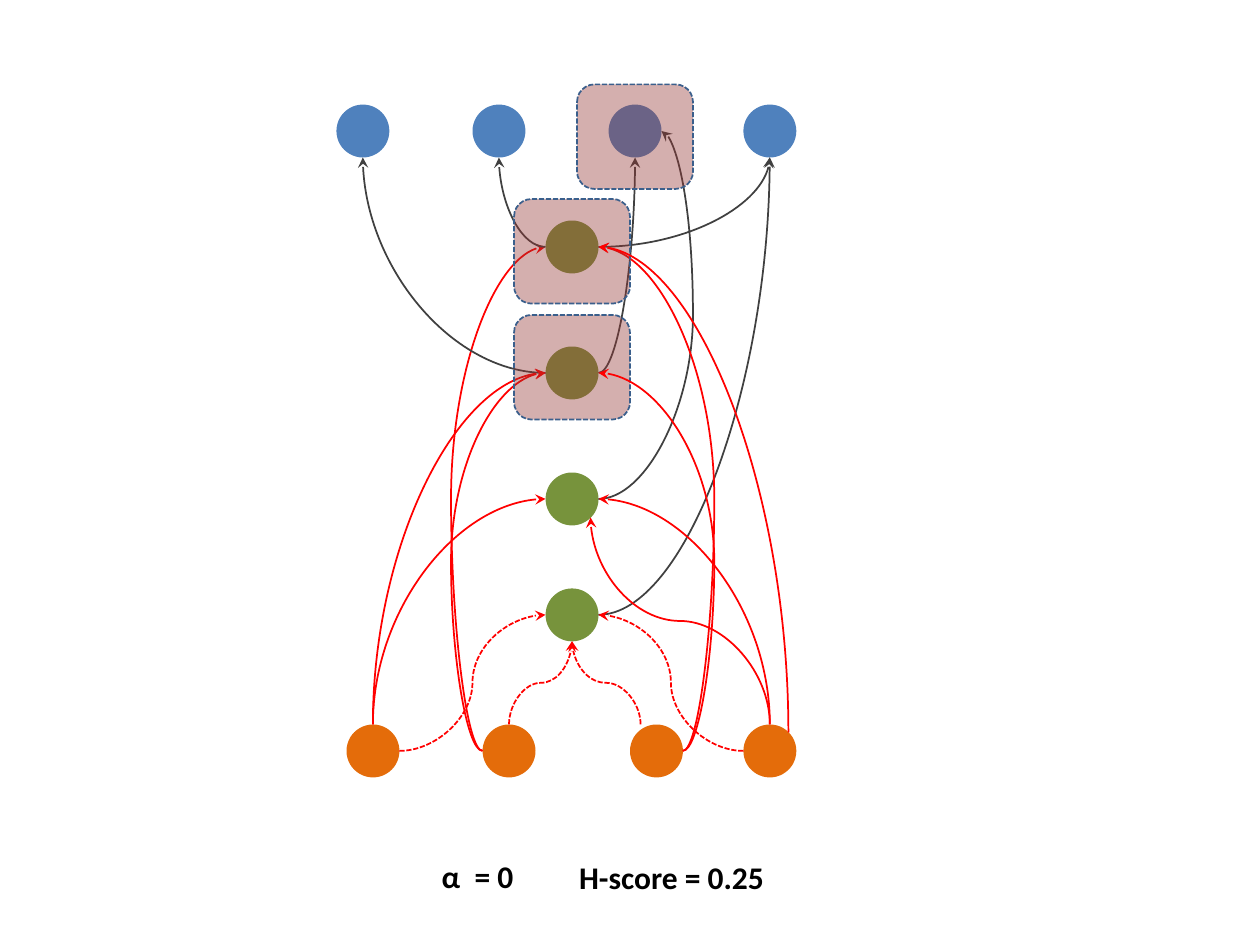
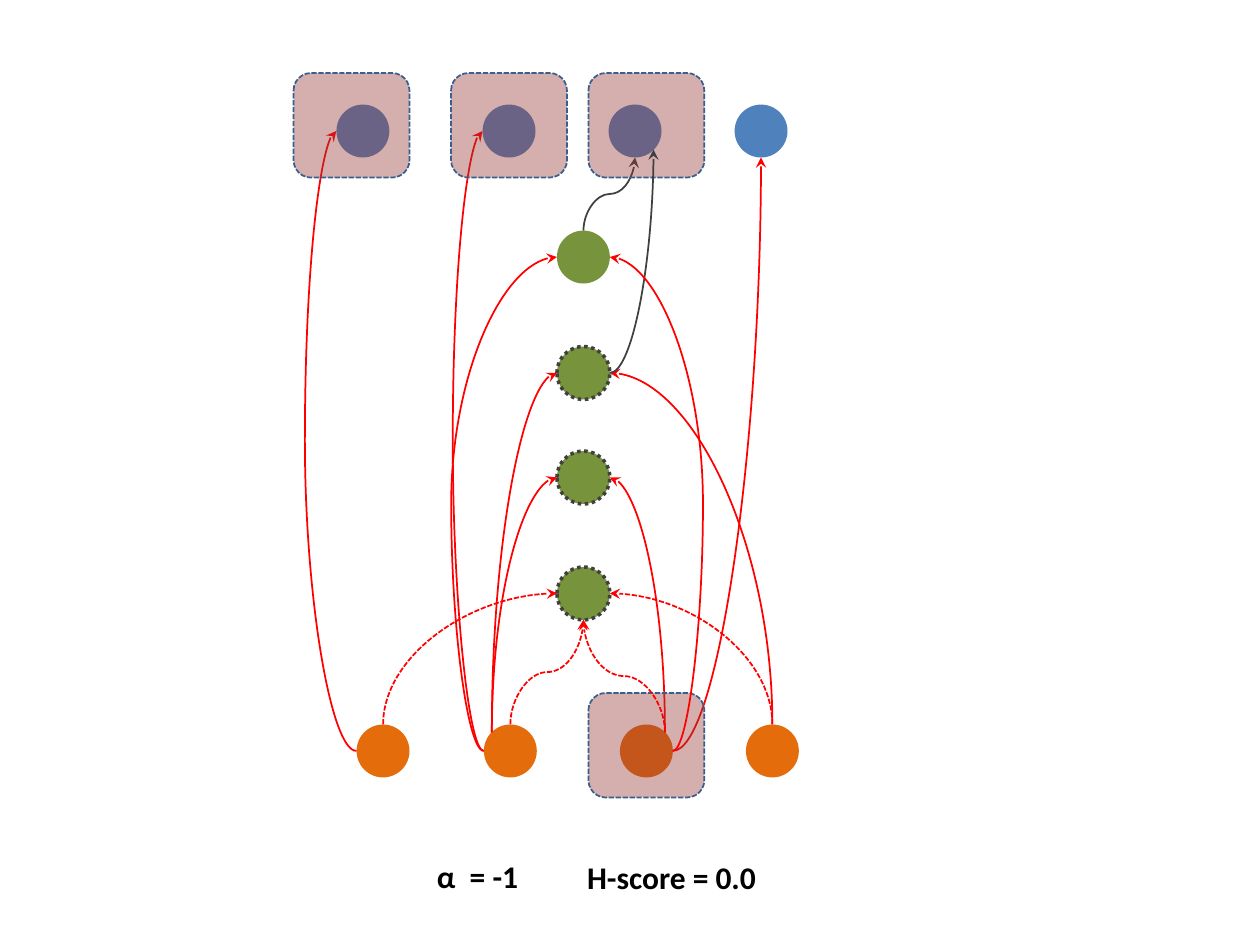
from lxml import etree
from pptx import Presentation
from pptx.dml.color import RGBColor
from pptx.enum.dml import MSO_LINE
from pptx.enum.shapes import MSO_CONNECTOR, MSO_SHAPE
from pptx.enum.text import MSO_AUTO_SIZE, PP_ALIGN
from pptx.oxml.ns import qn
from pptx.util import Inches, Pt

COLORS = {
    "output": "4F81BD",
    "hidden": "77933C",
    "input": "E46C0A",
    "red": "FF0000",
    "gray": "404040",
    "region": "953735",
    "region_line": "3A5F8C",
    "text": "000000",
}
FONT = "Calibri"
NODE_SIZE = 0.42
TOP_Y, LOW_Y = 0.83, 5.75
PORTS = {
    "N": (0.5, 0), "S": (0.5, 1), "W": (0, 0.5), "E": (1, 0.5),
    "NW": (0.15, 0.15), "NE": (0.85, 0.15), "SE": (0.85, 0.85), "NNW": (0.2, 0),
}


def rgb(name):
    return RGBColor.from_string(COLORS[name])


def port_point(sp, port):
    fx, fy = PORTS[port]
    return int(sp.left + fx * sp.width), int(sp.top + fy * sp.height)


class NetworkDeck:
    def __init__(self):
        self.prs = Presentation()
        self.prs.slide_width, self.prs.slide_height = Inches(10), Inches(7.5)
        self.s = None

    def new_slide(self):
        self.s = self.prs.slides.add_slide(self.prs.slide_layouts[6])

    def stroke(self, line, color, width=1, dash=None):
        line.color.rgb = rgb(color)
        line.width = Pt(width)
        if dash:
            line.dash_style = dash

    def shape(self, kind, x, y, w, h, fill):
        sp = self.s.shapes.add_shape(kind, Inches(x), Inches(y), Inches(w), Inches(h))
        sp.shadow.inherit = False
        sp.fill.solid()
        sp.fill.fore_color.rgb = rgb(fill)
        return sp

    def node(self, x, y, fill, dotted=False):
        sp = self.shape(MSO_SHAPE.OVAL, x, y, NODE_SIZE, NODE_SIZE, fill)
        if dotted:
            self.stroke(sp.line, "gray", 2, MSO_LINE.ROUND_DOT)
        else:
            sp.line.fill.background()
        return sp

    def row(self, xs, y, fill):
        return [self.node(x, y, fill) for x in xs]

    def region(self, x, y):
        sp = self.shape(MSO_SHAPE.ROUNDED_RECTANGLE, x, y, 0.92, 0.83, "region")
        color = sp.fill._xPr.find(qn("a:solidFill"))[0]
        etree.SubElement(color, qn("a:alpha"), val="40000")
        self.stroke(sp.line, "region_line", dash=MSO_LINE.SQUARE_DOT)

    def edge(self, start, start_port, end, end_port, color="red", dashed=False, bend_x=None):
        x1, y1 = port_point(start, start_port)
        x2, y2 = port_point(end, end_port)
        c = self.s.shapes.add_connector(MSO_CONNECTOR.CURVE, x1, y1, x2, y2)
        sp_pr = c._element.spPr
        leaves_up = start_port[0] == "N"
        if leaves_up:
            self.turn_upright(c, x1, y1, x2, y2)
        geom = sp_pr.find(qn("a:prstGeom"))
        if leaves_up != (end_port[0] in "NS"):
            geom.set("prst", "curvedConnector2")
        elif bend_x is not None:
            ratio = (Inches(bend_x) - x1) / (x2 - x1)
            guides = geom.find(qn("a:avLst"))
            etree.SubElement(guides, qn("a:gd"), name="adj1", fmla=f"val {round(ratio * 100000)}")
        self.stroke(c.line, color, dash=MSO_LINE.SQUARE_DOT if dashed else None)
        etree.SubElement(sp_pr.find(qn("a:ln")), qn("a:tailEnd"), type="stealth")
        etree.SubElement(sp_pr, qn("a:effectLst"))

    def turn_upright(self, c, x1, y1, x2, y2):
        w, h = abs(y2 - y1), abs(x2 - x1)
        c.left, c.top = (x1 + x2 - w) // 2, (y1 + y2 - h) // 2
        c.width, c.height = w, h
        xfrm = c._element.spPr.find(qn("a:xfrm"))
        to_right = x2 > x1
        xfrm.set("rot", str((90 if to_right else 270) * 60000))
        xfrm.set("flipH", "1" if to_right else "0")
        xfrm.set("flipV", "1")

    def label(self, x, y, w, text):
        tb = self.s.shapes.add_textbox(Inches(x), Inches(y), Inches(w), Inches(0.4))
        tf = tb.text_frame
        tf.word_wrap = True
        tf.auto_size = MSO_AUTO_SIZE.SHAPE_TO_FIT_TEXT
        p = tf.paragraphs[0]
        p.alignment = PP_ALIGN.CENTER
        r = p.add_run()
        r.text = text
        r.font.name, r.font.size, r.font.bold = FONT, Pt(18), True
        r.font.color.rgb = rgb("text")

    def scores(self, alpha, h_score):
        self.label(3.25, 6.75, 1.08, f"α  = {alpha}")
        self.label(4.33, 6.76, 2, f"H-score = {h_score}")


def alpha_zero(deck):
    deck.new_slide()
    top = deck.row((2.67, 3.75, 4.83, 5.9), TOP_Y, "output")
    low = deck.row((2.75, 3.83, 5, 5.9), LOW_Y, "input")
    mid = [deck.node(4.33, y, "hidden") for y in (1.75, 2.75, 3.75, 4.67)]

    deck.edge(low[1], "W", mid[0], "W", bend_x=3.58)
    deck.edge(low[1], "N", mid[3], "S", dashed=True)
    deck.edge(mid[3], "E", top[3], "S", "gray")
    deck.edge(low[0], "E", mid[3], "W", dashed=True)
    deck.edge(low[0], "N", mid[2], "W")
    deck.edge(mid[0], "W", top[1], "S", "gray")
    deck.edge(mid[1], "E", top[2], "S", "gray")
    deck.edge(mid[2], "E", top[2], "E", "gray", bend_x=5.5)
    deck.edge(mid[1], "W", top[0], "S", "gray")
    deck.edge(low[2], "E", mid[0], "E", bend_x=5.67)
    deck.edge(mid[0], "E", top[3], "S", "gray")
    deck.edge(low[2], "NNW", mid[3], "S", dashed=True)
    deck.edge(low[3], "N", mid[2], "E")
    deck.edge(low[3], "N", mid[2], "SE")
    deck.edge(low[0], "N", mid[1], "W")
    deck.edge(low[1], "W", mid[1], "W", bend_x=3.58)

    for x, y in ((4.58, 0.67), (4.08, 1.58), (4.08, 2.5)):
        deck.region(x, y)
    deck.scores("0", "0.25")

    deck.edge(low[3], "NE", mid[0], "E")
    deck.edge(low[2], "E", mid[1], "E", bend_x=5.67)
    deck.edge(low[3], "W", mid[3], "E", dashed=True)


def alpha_minus_one(deck):
    deck.new_slide()
    top = deck.row((2.67, 3.83, 4.83, 5.83), TOP_Y, "output")
    low = deck.row((2.83, 3.84, 4.92, 5.92), LOW_Y, "input")
    mid = [deck.node(4.42, y, "hidden", dotted=y > 2) for y in (1.83, 2.75, 3.58, 4.5)]

    deck.edge(low[1], "W", mid[0], "W", bend_x=3.58)
    deck.edge(low[1], "NW", mid[2], "W")
    deck.edge(mid[0], "N", top[2], "S", "gray")
    deck.edge(low[1], "W", top[1], "W", bend_x=3.59)
    deck.edge(low[0], "W", top[0], "W", bend_x=2.42)
    deck.edge(low[2], "E", top[3], "S")
    deck.edge(low[3], "N", mid[3], "E", dashed=True)
    deck.edge(low[2], "NE", mid[2], "E")
    deck.edge(low[0], "N", mid[3], "W", dashed=True)
    deck.edge(low[3], "N", mid[1], "E")
    deck.edge(low[1], "N", mid[3], "S", dashed=True)

    for x, y in ((3.58, 0.58), (2.33, 0.58), (4.67, 5.5), (4.67, 0.58)):
        deck.region(x, y)
    deck.scores("-1", "0.0")

    deck.edge(low[2], "NE", mid[3], "S", dashed=True)
    deck.edge(mid[1], "E", top[2], "SE", "gray")
    deck.edge(low[1], "NW", mid[1], "W")
    deck.edge(low[2], "E", mid[0], "E", bend_x=5.58)


def main():
    deck = NetworkDeck()
    alpha_zero(deck)
    alpha_minus_one(deck)
    deck.prs.save("out.pptx")


if __name__ == "__main__":
    main()
